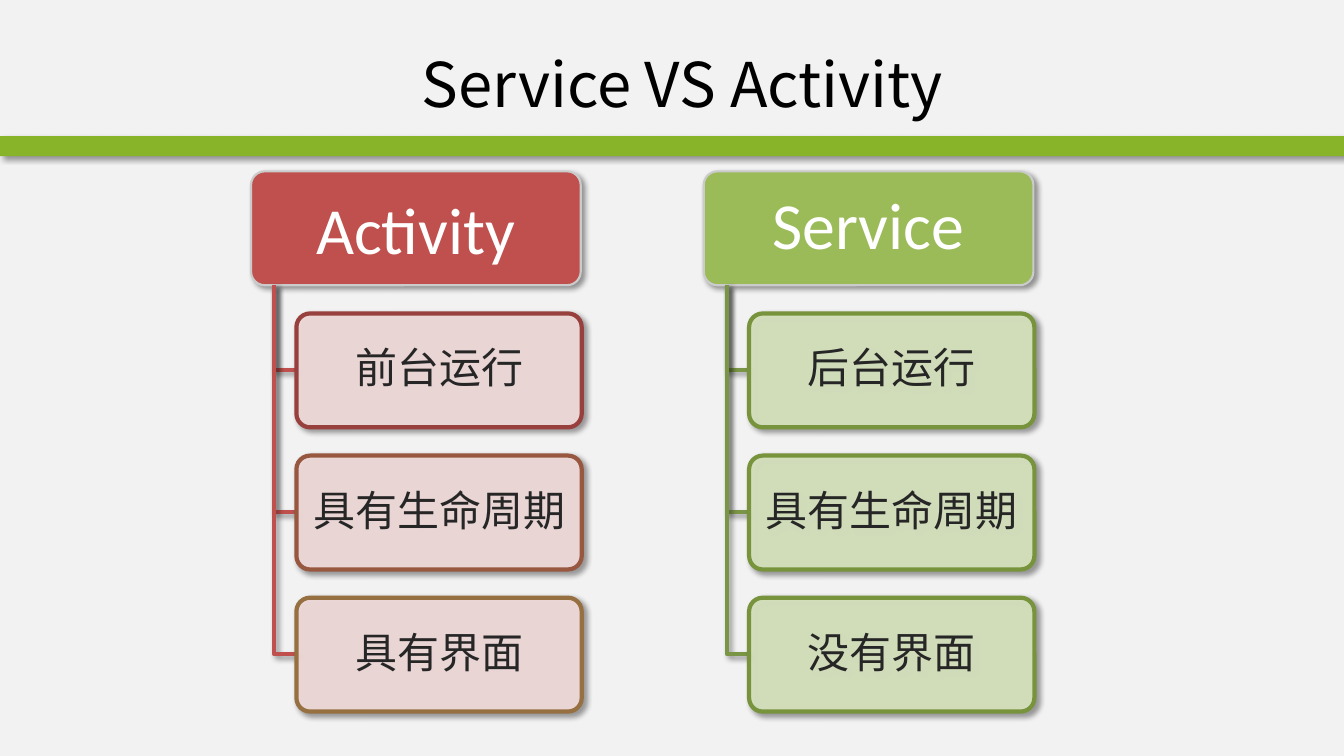
"""Build the slide that compares Service and Activity."""
from dataclasses import dataclass
from typing import Any

from lxml import etree
from pptx import Presentation
from pptx import util as u
from pptx.dml.color import RGBColor
from pptx.enum import shapes, text
from pptx.oxml.ns import qn

PX = 9144
TOP, STEP, HIGH = 170, 141, 113
HEAD_W, BOX_W, STEM_X, BOX_X = 327, 283, 23, 45
LATIN, HAN = "Calibri", "Noto Sans CJK SC"


@dataclass
class Item:
    """A box below a heading."""
    label: str
    edge: str


@dataclass
class Column:
    """A heading with its stem and boxes."""
    x: int
    label: str
    fill: str
    stem: str
    tint: str
    tight: bool
    items: list[Item]


COLUMNS = [
    Column(249, "Activity", "C0504D", "C0504D", "F2DCDB", False, [
        Item("前台运行", "98403D"),
        Item("具有生命周期", "98583F"),
        Item("具有界面", "977041")]),
    Column(698, "Service", "9BBB59", "7B9547", "D7E4BD", True, [
        Item("后台运行", "77933C"),
        Item("具有生命周期", "77933C"),
        Item("没有界面", "77933C")]),
]


def px(n: int) -> int:
    """Turn px into EMU."""
    return u.Emu(n * PX)


def rgb(code: str) -> RGBColor:
    """Turn a hex string into a colour."""
    return RGBColor.from_string(code)


def assign(target: Any, values: dict[str, Any]) -> None:
    """Set every attribute named in the dict."""
    for name, value in values.items():
        setattr(target, name, value)


def child(parent: Any, tag: str, **attrs: str) -> Any:
    """Add a drawing element below its parent."""
    return etree.SubElement(parent, qn(tag), attrs)


def shade(shape: Any) -> None:
    """Give a shape the soft shadow of this slide."""
    shape.shadow.inherit = False
    effects = shape.element.spPr.find(qn("a:effectLst"))
    outer = child(effects, "a:outerShdw", blurRad="50800", dist="38100",
                  dir="2700000", algn="tl", rotWithShape="0")
    child(child(outer, "a:srgbClr", val="000000"), "a:alpha", val="40000")


def write(shape: Any, label: str, size: int, font: str, color: str,
          tight: bool = False) -> None:
    """Put one centred line of text in a shape."""
    frame = shape.text_frame
    assign(frame, {"word_wrap": True, "vertical_anchor": text.MSO_ANCHOR.MIDDLE})
    par = frame.paragraphs[0]
    par.alignment = text.PP_ALIGN.CENTER
    if tight:
        par.line_spacing = 0.9
        after = child(par.alignment is not None and par._p.get_or_add_pPr(),
                      "a:spcAft")
        child(after, "a:spcPct", val="35000")
    run = par.add_run()
    run.text = label
    assign(run.font, {"size": u.Pt(size), "name": font, "bold": False})
    run.font.color.rgb = rgb(color)
    child(run.font._element, "a:ea", typeface=font)


def block(slide: Any, box: tuple[int, int, int, int], fill: str,
          edge: str, width: float) -> Any:
    """Draw a rounded box with a shadow."""
    shape = slide.shapes.add_shape(
        shapes.MSO_SHAPE.ROUNDED_RECTANGLE, *map(px, box))
    shape.adjustments[0] = 0.12
    shape.fill.solid()
    shape.fill.fore_color.rgb = rgb(fill)
    shape.line.color.rgb = rgb(edge)
    shape.line.width = u.Pt(width)
    shade(shape)
    inset = {f"margin_{side}": px(7) for side in ("left", "top", "right", "bottom")}
    assign(shape.text_frame, inset)
    return shape


def elbow(slide: Any, x: int, y: int, end: tuple[int, int], color: str) -> None:
    """Draw a stem that turns right into a box."""
    pen = slide.shapes.build_freeform(px(x), px(y))
    pen.add_line_segments([(px(x), px(end[1])), tuple(map(px, end))], close=False)
    shape = pen.convert_to_shape()
    shape.fill.background()
    shape.line.color.rgb = rgb(color)
    shape.line.width = u.Pt(3)
    shade(shape)


def draw(slide: Any, col: Column) -> None:
    """Draw one column from its heading down."""
    head = block(slide, (col.x, TOP, HEAD_W, HIGH), col.fill, "CBCBCB", 1.5)
    write(head, col.label, 47, LATIN, "FFFFFF", col.tight)
    left = col.x + BOX_X
    for row, item in enumerate(col.items, 1):
        y = TOP + row * STEP
        elbow(slide, col.x + STEM_X, TOP + HIGH, (left, y + HIGH // 2), col.stem)
        box = block(slide, (left, y, BOX_W, HIGH), col.tint, item.edge, 3)
        tint = box.element.spPr.find(qn("a:solidFill"))[0]
        child(tint, "a:alpha", val="90000")
        write(box, item.label, 30, HAN, "262626", True)


def main() -> None:
    """Build and save the deck."""
    deck = Presentation()
    assign(deck, {"slide_width": px(1333), "slide_height": px(750)})
    slide = deck.slides.add_slide(deck.slide_layouts[5])
    back = slide.background.fill
    back.solid()
    back.fore_color.rgb = rgb("F2F2F2")
    bar = slide.shapes.add_shape(
        shapes.MSO_SHAPE.RECTANGLE, *map(px, (0, 135, 1333, 20)))
    bar.fill.solid()
    bar.fill.fore_color.rgb = rgb("88B429")
    bar.line.fill.background()
    shade(bar)
    title = slide.shapes.title
    assign(title, {"left": px(139), "top": px(30),
                   "width": px(1076), "height": px(105)})
    write(title, "Service VS Activity", 44, HAN, "000000")
    for col in COLUMNS:
        draw(slide, col)
    deck.save("out.pptx")


if __name__ == "__main__":
    main()
